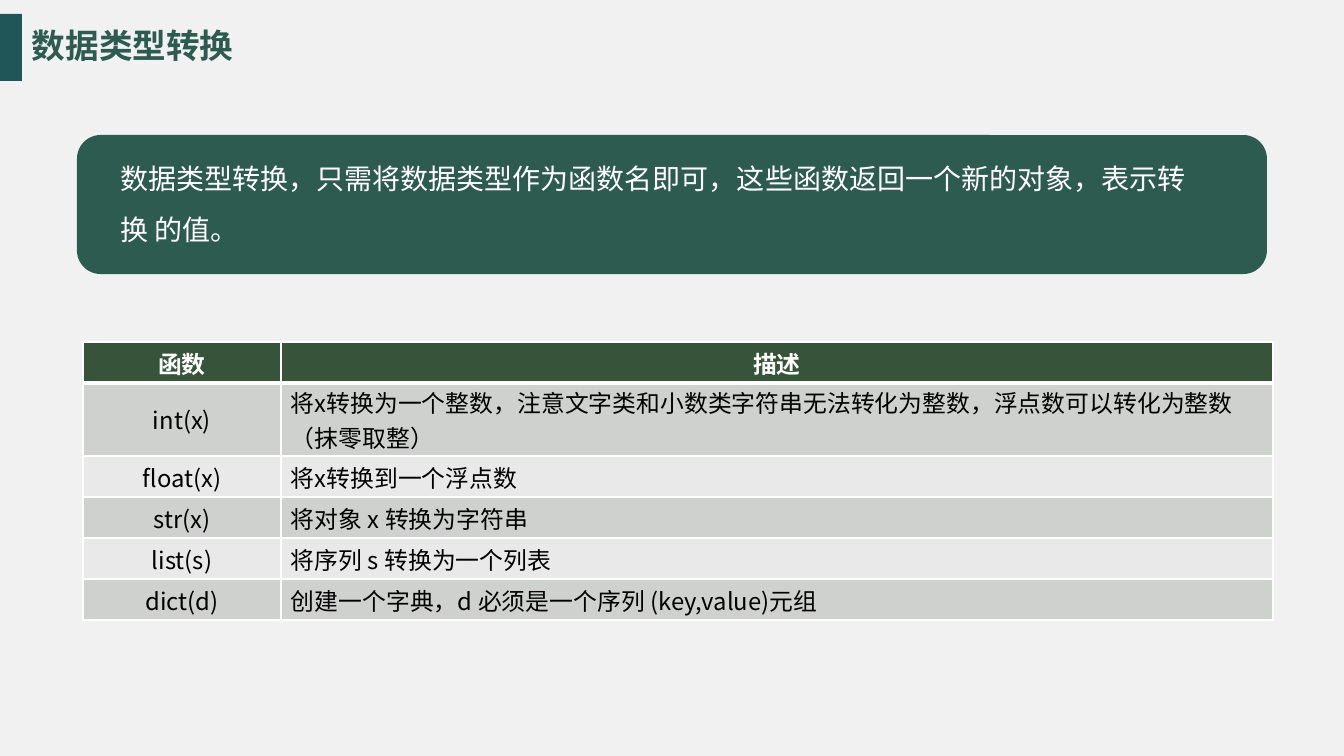
"""Build the slide on data type conversion in Python."""
from lxml import etree
from pptx import Presentation
from pptx.dml.color import RGBColor
from pptx.enum.shapes import MSO_SHAPE
from pptx.enum.text import MSO_ANCHOR, PP_ALIGN
from pptx.oxml.ns import qn
from pptx.util import Pt

TOP, MIDDLE = MSO_ANCHOR.TOP, MSO_ANCHOR.MIDDLE
LEFT, CENTER = PP_ALIGN.LEFT, PP_ALIGN.CENTER
RECTANGLE, ROUNDED = MSO_SHAPE.RECTANGLE, MSO_SHAPE.ROUNDED_RECTANGLE

TITLE = "数据类型转换"
SUMMARY = "数据类型转换，只需将数据类型作为函数名即可，这些函数返回一个新的对象，表示转换 的值。"
FUNCTIONS = [
    ("函数", "描述"),
    ("int(x)", "将x转换为一个整数，注意文字类和小数类字符串无法转化为整数，浮点数可以转化为整数\n（抹零取整）"),
    ("float(x)", "将x转换到一个浮点数"),
    ("str(x)", "将对象 x 转换为字符串"),
    ("list(s)", "将序列 s 转换为一个列表"),
    ("dict(d)", "创建一个字典，d 必须是一个序列 (key,value)元组"),
]

FONT = "Noto Sans CJK SC"
GREEN, TEAL, HEADER_GREEN = "2E5B50", "205657", "375339"
WHITE, BLACK, PAGE = "FFFFFF", "000000", "F1F1F1"
BANDS = ["E8E9E8", "CED1CE"]
COLUMN_WIDTHS = [198, 992]
ROW_HEIGHT, TALL_ROW_HEIGHT, TALL_ROW = 41, 73, 1
SCALE = 914400 / 100.8


def px(length):
    return round(length * SCALE)


def color(hex_code):
    return RGBColor.from_string(hex_code)


def paint(item, hex_code):
    item.fill.solid()
    item.fill.fore_color.rgb = color(hex_code)


def style(frame, size, hex_code, bold=False, align=LEFT, spacing=None):
    for paragraph in frame.paragraphs:
        paragraph.alignment = align
        if spacing:
            paragraph.line_spacing = spacing
        for run in paragraph.runs:
            run.font.size = Pt(size)
            run.font.bold = bold
            run.font.name = FONT
            run.font.color.rgb = color(hex_code)
            etree.SubElement(run.font._element, qn("a:ea"), typeface=FONT)


def add_block(slide, kind, box, hex_code):
    block = slide.shapes.add_shape(kind, *map(px, box))
    block.shadow.inherit = False
    paint(block, hex_code)
    block.line.fill.background()
    return block


def add_text(slide, text, box, anchor, **look):
    frame = slide.shapes.add_textbox(*map(px, box)).text_frame
    frame.word_wrap = True
    frame.vertical_anchor = anchor
    frame.margin_left = frame.margin_right = frame.margin_bottom = 0
    frame.margin_top = px(1)
    frame.text = text
    style(frame, **look)


def add_borders(cell, top, bottom):
    properties = cell._tc.get_or_add_tcPr()
    sides = [("L", 1), ("R", 1), ("T", top), ("B", bottom)]
    for index, (side, width) in enumerate(sides):
        border = etree.Element(qn(f"a:ln{side}"), w=str(Pt(width)))
        fill = etree.SubElement(border, qn("a:solidFill"))
        etree.SubElement(fill, qn("a:srgbClr"), val=WHITE)
        properties.insert(index, border)


def add_functions(slide):
    heights = [ROW_HEIGHT] * len(FUNCTIONS)
    heights[TALL_ROW] = TALL_ROW_HEIGHT
    box = (83, 342, sum(COLUMN_WIDTHS), sum(heights))
    table = slide.shapes.add_table(len(heights), len(COLUMN_WIDTHS), *map(px, box)).table
    for column, width in zip(table.columns, COLUMN_WIDTHS):
        column.width = px(width)
    for row_index, (row, height) in enumerate(zip(table.rows, heights)):
        row.height = px(height)
        header = row_index == 0
        for column_index, cell in enumerate(row.cells):
            description = column_index == 1 and not header
            inset = 4
            if row_index == TALL_ROW:
                inset = 2 if description else 19
            cell.vertical_anchor = TOP
            cell.margin_left = px(10 if description else 0)
            cell.margin_right = cell.margin_bottom = 0
            cell.margin_top = px(inset)
            cell.text = FUNCTIONS[row_index][column_index]
            style(cell.text_frame, 17, WHITE if header else BLACK, header,
                  LEFT if description else CENTER)
            paint(cell, HEADER_GREEN if header else BANDS[row_index % 2])
            add_borders(cell, 3 if row_index == 1 else 1, 3 if header else 1)


def main():
    deck = Presentation()
    deck.slide_width, deck.slide_height = px(1344), px(756)
    slide = deck.slides.add_slide(deck.slide_layouts[6])
    paint(slide.background, PAGE)
    add_block(slide, RECTANGLE, (0, 14, 22, 67), TEAL)
    add_text(slide, TITLE, (32, 23, 204, 43), MIDDLE, size=24, hex_code=GREEN, bold=True)
    panel = add_block(slide, ROUNDED, (77, 135, 1190, 139), GREEN)
    panel.adjustments[0] = 0.17
    add_text(slide, SUMMARY, (120, 144, 1094, 104), TOP, size=20, hex_code=WHITE, spacing=1.5)
    add_functions(slide)
    deck.save("out.pptx")


if __name__ == "__main__":
    main()
